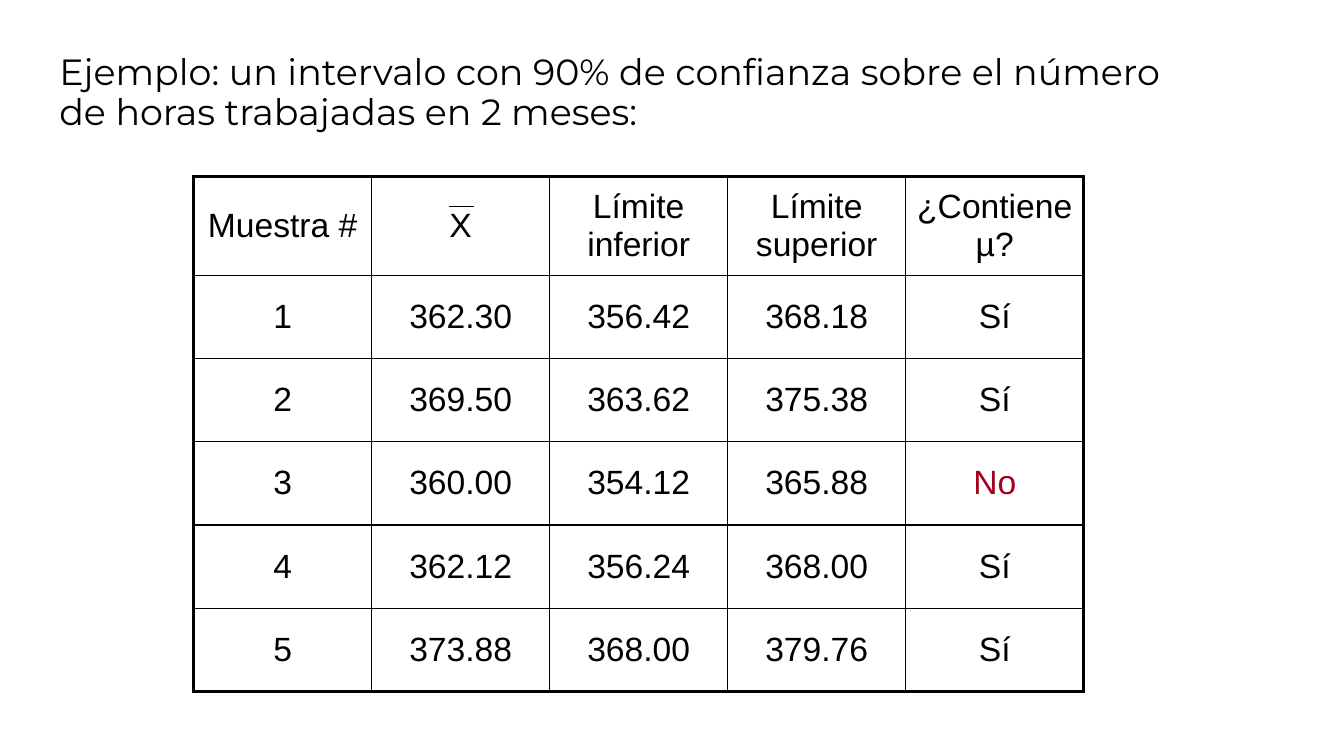
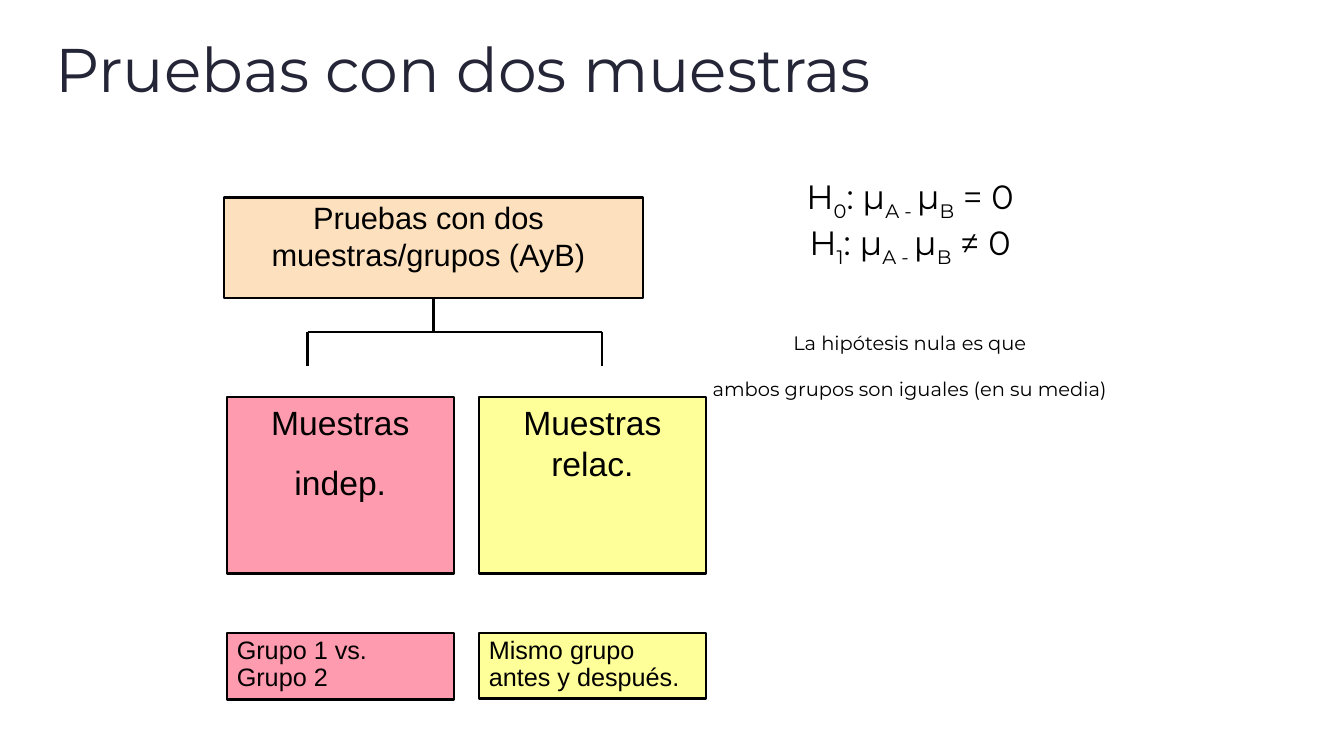
from pptx import Presentation
from pptx.dml.color import RGBColor
from pptx.enum.shapes import MSO_CONNECTOR, MSO_SHAPE
from pptx.enum.text import MSO_ANCHOR, PP_ALIGN
from pptx.oxml.ns import qn
from pptx.util import Inches, Pt
from lxml import etree

RECTANGLE, STRAIGHT = MSO_SHAPE.RECTANGLE, MSO_CONNECTOR.STRAIGHT
LEFT, CENTER = PP_ALIGN.LEFT, PP_ALIGN.CENTER
TOP, MIDDLE = MSO_ANCHOR.TOP, MSO_ANCHOR.MIDDLE
BOTTOM_SIDE = 2

COLORS = {"black": "000000", "title": "242537", "no": "A50021",
          "peach": "FDE0BD", "pink": "FF9BAE", "yellow": "FFFF99"}
TITLE_FONT, BODY_FONT = "Montserrat", "Arial"
INSETS = (0.1, 0.05, 0.1, 0.05)
SUBSCRIPT = "-25000"


def rgb(name):
    return RGBColor.from_string(COLORS[name])


class Deck:
    """Shared style and the slide being built."""

    def __init__(self):
        self.prs = Presentation()
        self.prs.slide_width, self.prs.slide_height = Inches(13.33), Inches(7.5)
        self.slide = None

    def new_slide(self):
        self.slide = self.prs.slides.add_slide(self.prs.slide_layouts[6])

    def fill_text(self, frame, paragraphs, size, font=BODY_FONT, color="black",
                  align=LEFT, anchor=TOP, spacing=1.0, gaps=(), insets=INSETS):
        """Each paragraph is a list of (text, is_subscript) runs or a string."""
        frame.word_wrap = True
        frame.vertical_anchor = anchor
        (frame.margin_left, frame.margin_top,
         frame.margin_right, frame.margin_bottom) = map(Inches, insets)
        for i, runs in enumerate(paragraphs):
            paragraph = frame.paragraphs[0] if i == 0 else frame.add_paragraph()
            paragraph.alignment, paragraph.line_spacing = align, spacing
            if i < len(gaps):
                paragraph.space_before = Pt(gaps[i])
            for text, lowered in [(runs, False)] if isinstance(runs, str) else runs:
                run = paragraph.add_run()
                run.text = text
                run.font.name, run.font.size = font, Pt(size)
                run.font.color.rgb = rgb(color)
                if lowered:
                    run.font._element.set("baseline", SUBSCRIPT)

    def text(self, box, paragraphs, size, **style):
        area = self.slide.shapes.add_textbox(*map(Inches, box))
        self.fill_text(area.text_frame, paragraphs, size, **style)

    def title(self, box, words, size, color, spacing):
        self.text(box, [words], size, font=TITLE_FONT, color=color,
                  anchor=MIDDLE, spacing=spacing)

    def block(self, box, fill, paragraphs, size, **style):
        rect = self.slide.shapes.add_shape(RECTANGLE, *map(Inches, box))
        rect.shadow.inherit = False
        rect.fill.solid()
        rect.fill.fore_color.rgb = rgb(fill)
        rect.line.color.rgb, rect.line.width = rgb("black"), Pt(1.5)
        self.fill_text(rect.text_frame, paragraphs, size, **style)
        return rect

    def line(self, x1, y1, x2, y2, width=1.5):
        line = self.slide.shapes.add_connector(
            STRAIGHT, *map(Inches, (x1, y1, x2, y2)))
        line.line.color.rgb, line.line.width = rgb("black"), Pt(width)
        etree.SubElement(line._element.spPr, qn("a:effectLst"))
        return line

    def cell_border(self, cell, side, width):
        edge = etree.SubElement(cell._tc.get_or_add_tcPr(), qn("a:ln" + side),
                                w=str(int(Pt(width))))
        fill = etree.SubElement(edge, qn("a:solidFill"))
        etree.SubElement(fill, qn("a:srgbClr"), val=COLORS["black"])

    def table(self, box, rows, header_height, size, inner=1, outer=2.25):
        n_rows, n_cols = len(rows), len(rows[0])
        body_height = (box[3] - header_height) / (n_rows - 1)
        table = self.slide.shapes.add_table(
            n_rows, n_cols, *map(Inches, box)).table
        table.first_row = table.horz_banding = False
        for column in table.columns:
            column.width = Inches(box[2] / n_cols)
        for r, row in enumerate(rows):
            table.rows[r].height = Inches(body_height if r else header_height)
            for c, words in enumerate(row):
                cell = table.cell(r, c)
                on_edge = {"L": c == 0, "R": c == n_cols - 1,
                           "T": r == 0, "B": r == n_rows - 1}
                for side, is_outer in on_edge.items():
                    self.cell_border(cell, side, outer if is_outer else inner)
                cell.fill.background()
                self.fill_text(cell.text_frame, [words], size, align=CENTER,
                               color="no" if words == "No" else "black")
                cell.vertical_anchor = MIDDLE


def confidence_slide(deck):
    deck.new_slide()
    deck.title((0.49, 0.39, 11.36, 1.08),
               "Ejemplo: un intervalo con 90% de confianza sobre el número "
               "de horas trabajadas en 2 meses:", 26, "black", 0.9)
    samples = [
        ("Muestra #", "X", "Límite inferior", "Límite superior", "¿Contiene µ?"),
        ("1", "362.30", "356.42", "368.18", "Sí"),
        ("2", "369.50", "363.62", "375.38", "Sí"),
        ("3", "360.00", "354.12", "365.88", "No"),
        ("4", "362.12", "356.24", "368.00", "Sí"),
        ("5", "373.88", "368.00", "379.76", "Sí"),
    ]
    deck.table((1.92, 1.75, 8.83, 5.11), samples, 0.98, 24)
    # Bar over the X of the mean
    deck.line(4.45, 2.05, 4.7, 2.05, 0.75)


def two_samples_slide(deck):
    deck.new_slide()
    deck.title((0.45, 0.37, 9.15, 0.75), "Pruebas con dos muestras",
               44, "title", 0.8)

    # Root of the tree
    root = deck.block((2.22, 1.96, 4.16, 1), "peach",
                      ["Pruebas con dos muestras/grupos (AyB)"], 22,
                      align=CENTER, insets=(0.13, 0.01, 0.23, 0.05))

    # Kinds of samples, each with its example below
    kinds = [
        ("pink", ["Muestras", "indep."], "Grupo 1 vs. Grupo 2", 0.66),
        ("yellow", ["Muestras relac."], "Mismo grupo antes y después.", 0.65),
    ]
    for i, (fill, kind, example, height) in enumerate(kinds):
        left = 2.25 + 2.5 * i
        deck.block((left, 3.94, 2.25, 1.75), fill, kind, 24, align=CENTER,
                   gaps=(0, 14), insets=(0.18, 0.05, 0.18, 0.05))
        deck.block((left, 6.28, 2.25, height), fill, [example], 18, spacing=0.9)

    # Branches
    fork_y, branch_xs = 3.29, (3.05, 5.97)
    trunk = deck.line(4.3, 2.96, 4.3, fork_y)
    trunk.begin_connect(root, BOTTOM_SIDE)
    deck.line(branch_xs[0], fork_y, branch_xs[1], fork_y)
    for x in branch_xs:
        deck.line(x, fork_y, x, 3.63)

    # Hypotheses
    def hypothesis(number, relation):
        return [("H", False), (number, True), (": μ", False), ("A - ", True),
                ("μ", False), ("B", True), (relation, False)]

    deck.text((6.5, 1.7, 5.05, 1.85),
              [hypothesis("0", " = 0"), hypothesis("1", " ≠ 0"),
               [("La hipótesis nula es que", True)],
               [("ambos grupos son iguales (en su media)", True)]],
              24, font=TITLE_FONT, align=CENTER, gaps=(0, 0, 29, 0))


def main():
    deck = Deck()
    confidence_slide(deck)
    two_samples_slide(deck)
    deck.prs.save("out.pptx")


if __name__ == "__main__":
    main()
